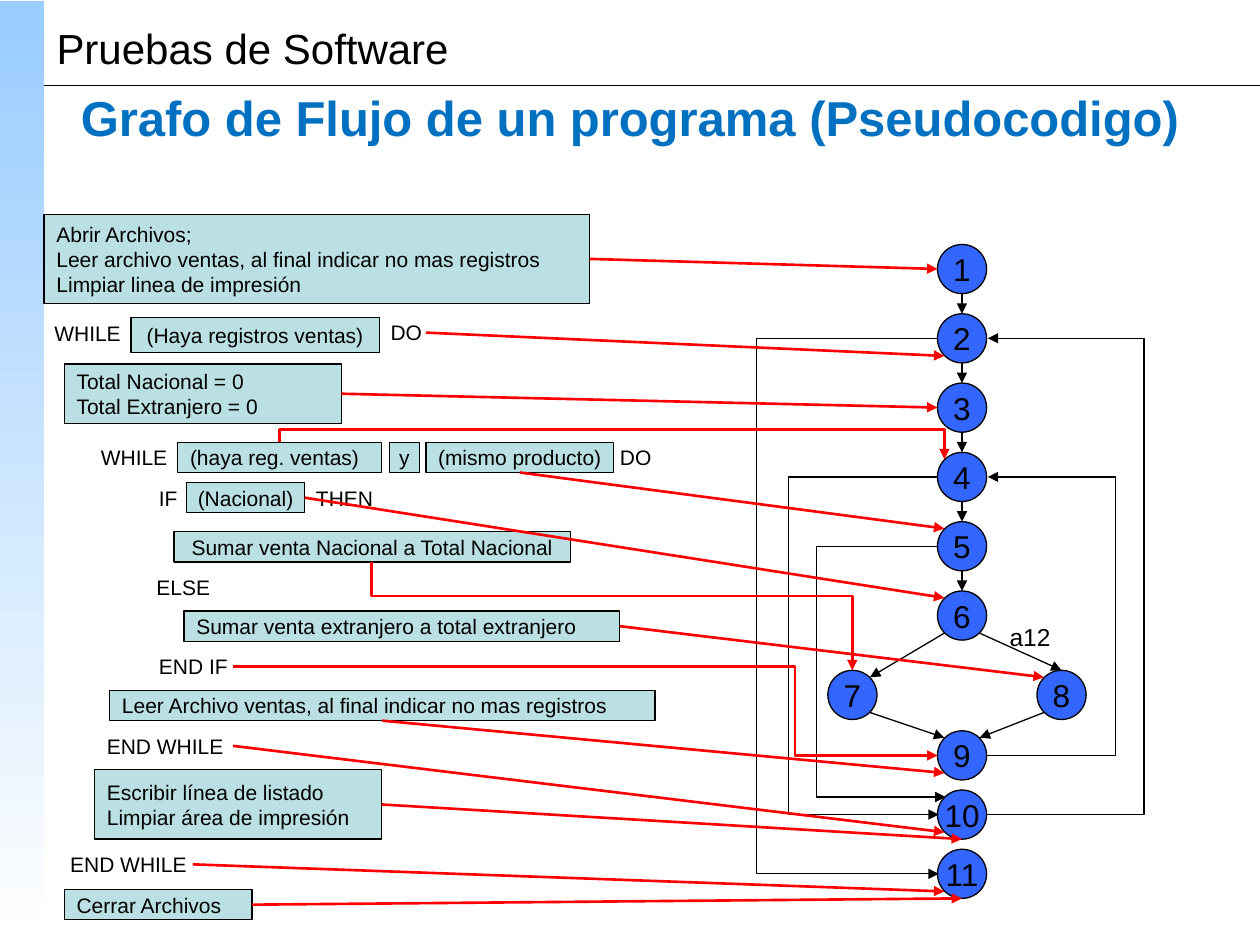
"""Build the slide that links a sales pseudocode to its flow graph."""
from dataclasses import dataclass
from typing import Optional

from lxml.etree import SubElement
from pptx import Presentation
from pptx.dml.color import RGBColor
from pptx.enum.shapes import MSO_CONNECTOR, MSO_SHAPE
from pptx.enum.text import MSO_ANCHOR, MSO_AUTO_SIZE, PP_ALIGN
from pptx.oxml.ns import qn
from pptx.util import Inches, Pt

BLACK, RED, BLUE, TEAL, TITLE_BLUE = "000000", "FF0000", "3366FF", "BBE0E3", "0070C0"
NODE_SIZE = 0.39
COLUMN = 7.44
DIAGONAL = 0.14
RADIUS = NODE_SIZE / 2
SIDES = {
    "n": (0, -RADIUS), "s": (0, RADIUS), "w": (-RADIUS, 0), "e": (RADIUS, 0),
    "nw": (-DIAGONAL, -DIAGONAL), "ne": (DIAGONAL, -DIAGONAL),
    "sw": (-DIAGONAL, DIAGONAL), "se": (DIAGONAL, DIAGONAL),
}
BOTTOM, RIGHT = 2, 3
Point = tuple[float, float]


@dataclass(frozen=True)
class Block:
    text: str
    left: float
    top: float
    width: float
    height: float = 0.24
    fill: Optional[str] = TEAL
    centered: bool = False
    size: int = 12


@dataclass(frozen=True)
class Elbow:
    start: Point
    end: Point
    turn: float
    color: str = BLACK
    width: float = 0.75
    vertical_first: bool = False


def label(text: str, left: float, top: float, width: float, height: float = 0.24,
          size: int = 12) -> Block:
    """Describe centred text without a frame."""
    return Block(text, left, top, width, height, None, True, size)


NODES = {number: (COLUMN, 1.94 + 0.55 * (number - 1)) for number in range(1, 7)}
NODES |= {7: (6.57, 5.32), 8: (8.23, 5.32)}
NODES |= {number: (COLUMN, 5.8 + 0.47 * (number - 9)) for number in range(9, 12)}


def anchor(number: int, side: str) -> Point:
    """Return the point on one side of a graph node."""
    left, top = NODES[number]
    across, down = SIDES[side]
    return left + RADIUS + across, top + RADIUS + down


BLOCKS = {
    "open": Block("Abrir Archivos;\nLeer archivo ventas, al final indicar no mas registros\n"
                  "Limpiar linea de impresión", 0.35, 1.7, 4.33, 0.71),
    "outer while": label("WHILE", 0.3, 2.41, 0.79, 0.47),
    "outer test": Block("(Haya registros ventas)", 1.04, 2.52, 1.97, 0.28, centered=True),
    "outer do": label("DO", 3.07, 2.49, 0.31, 0.3),
    "totals": Block("Total Nacional = 0\nTotal Extranjero = 0", 0.51, 2.89, 2.2, 0.47),
    "inner while": label("WHILE", 0.75, 3.51, 0.63),
    "sales test": Block("(haya reg. ventas)", 1.41, 3.51, 1.62),
    "product test": Block("(mismo producto)", 3.38, 3.51, 1.49, centered=True),
    "and": Block("y", 3.09, 3.51, 0.24, centered=True),
    "inner do": label("DO", 4.89, 3.51, 0.31),
    "if": label("IF", 1.14, 3.83, 0.39),
    "national test": Block("(Nacional)", 1.48, 3.83, 0.94, centered=True),
    "then": label("THEN", 2.42, 3.83, 0.63),
    "national sum": Block("Sumar venta Nacional a Total Nacional", 1.38, 4.22, 3.15,
                          centered=True),
    "else": label("ELSE", 1.14, 4.54, 0.63),
    "foreign sum": Block("Sumar venta extranjero a total extranjero", 1.46, 4.85, 3.46),
    "end if": label("END IF", 1.22, 5.17, 0.63),
    "read": Block("Leer Archivo ventas, al final indicar no mas registros", 0.87, 5.48, 4.33),
    "inner end": Block("END WHILE", 0.75, 5.8, 1.1, fill=None),
    "print": Block("Escribir línea de listado\nLimpiar área de impresión", 0.75, 6.11, 2.28, 0.55),
    "outer end": label("END WHILE", 0.51, 6.74, 1.02),
    "close": Block("Cerrar Archivos", 0.51, 7.06, 1.49),
    "edge name": label("a12", 8.02, 4.93, 0.31, size=14),
}
EDGES = [((number, "s"), (number + 1, "n")) for number in range(1, 6)] + [
    ((6, "se"), (8, "n")), ((6, "sw"), (7, "ne")),
    ((8, "sw"), (9, "ne")), ((7, "se"), (9, "nw")),
]
LOOPS = [(9, "e", 4, "e", 8.87), (10, "e", 2, "e", 9.1), (2, "w", 11, "w", 5.98),
         (5, "w", 10, "nw", 6.48), (4, "w", 10, "w", 6.24)]
CODE_ELBOWS = [
    Elbow((2.22, 3.51), anchor(4, "nw"), 3.41, RED, 1.5, True),
    Elbow((2.95, 4.46), anchor(7, "n"), 4.73, RED, 1.5, True),
    Elbow((1.85, 5.29), anchor(9, "w"), 6.31, RED, 1.5),
]
CODE_LINKS = [
    ("open", RIGHT, 1, "w"), ("totals", RIGHT, 3, "w"), ("product test", BOTTOM, 5, "nw"),
    ("national test", RIGHT, 6, "nw"), ("foreign sum", RIGHT, 8, "nw"),
    ("read", BOTTOM, 9, "sw"), ("inner end", RIGHT, 10, "sw"), ("print", RIGHT, 10, "s"),
    ("outer end", RIGHT, 11, "sw"), ("close", RIGHT, 11, "s"), ("outer do", RIGHT, 2, "sw"),
]


def rgb(color: str) -> RGBColor:
    """Turn a hex string into a colour."""
    return RGBColor.from_string(color)


def write(box, text: str, size: int, color: str = BLACK, centered: bool = True,
          bold: bool = False, wrap: bool = False) -> None:
    """Fill a shape with paragraphs of one style."""
    frame = box.text_frame
    frame.text = text
    frame.word_wrap = wrap
    frame.auto_size = MSO_AUTO_SIZE.NONE
    frame.vertical_anchor = MSO_ANCHOR.MIDDLE
    for paragraph in frame.paragraphs:
        paragraph.alignment = PP_ALIGN.CENTER if centered else PP_ALIGN.LEFT
        font = paragraph.font
        font.name, font.size, font.bold = "Arial", Pt(size), bold
        font.color.rgb = rgb(color)


def draw_block(slide, block: Block, preset=MSO_SHAPE.RECTANGLE):
    """Draw a framed shape or plain label."""
    area = [Inches(value) for value in (block.left, block.top, block.width, block.height)]
    if block.fill is None:
        box = slide.shapes.add_textbox(*area)
    else:
        box = slide.shapes.add_shape(preset, *area)
        box.shadow.inherit = False
        box.fill.solid()
        box.fill.fore_color.rgb = rgb(block.fill)
        box.line.color.rgb = rgb(BLACK)
        box.line.width = Pt(0.75)
    write(box, block.text, block.size, centered=block.centered)
    return box


def draw_line(slide, start: Point, end: Point, color: str = BLACK, width: float = 0.75,
              kind=MSO_CONNECTOR.STRAIGHT, arrow: bool = True):
    """Draw a connector, with an arrowhead at its end by default."""
    line = slide.shapes.add_connector(kind, *(Inches(value) for value in (*start, *end)))
    line.line.color.rgb = rgb(color)
    line.line.width = Pt(width)
    if arrow:
        SubElement(line.line._get_or_add_ln(), qn("a:tailEnd"), type="triangle")
    SubElement(line.element.spPr, qn("a:effectLst"))
    return line


def draw_elbow(slide, elbow: Elbow) -> None:
    """Draw a bent arrow that turns at a given coordinate."""
    (x1, y1), (x2, y2) = start, end = elbow.start, elbow.end
    across, down = x2 - x1, y2 - y1
    ratio = (elbow.turn - x1) / across if not elbow.vertical_first else (elbow.turn - y1) / down
    if elbow.vertical_first:
        middle_x, middle_y = (x1 + x2) / 2, (y1 + y2) / 2
        start = middle_x - down / 2, middle_y + across / 2
        end = middle_x + down / 2, middle_y - across / 2
    line = draw_line(slide, start, end, elbow.color, elbow.width, MSO_CONNECTOR.ELBOW)
    properties = line.element.spPr
    if elbow.vertical_first:
        properties.find(qn("a:xfrm")).set("rot", str(90 * 60000))
    guides = properties.find(qn("a:prstGeom")).find(qn("a:avLst"))
    SubElement(guides, qn("a:gd"), name="adj1", fmla=f"val {round(ratio * 100000)}")


def draw_background(slide) -> None:
    """Draw the side band, the course name and its rule."""
    band = slide.shapes.add_shape(MSO_SHAPE.RECTANGLE, 0, Inches(0.01), Inches(0.35), Inches(7.49))
    band.shadow.inherit = False
    band.line.fill.background()
    band.fill.gradient()
    band.fill.gradient_angle = 270
    for stop, color in zip(band.fill.gradient_stops, ("99CCFF", "FFFFFF")):
        stop.color.rgb = rgb(color)
    draw_line(slide, (0.35, 0.68), (10, 0.68), arrow=False)
    draw_block(slide, Block("Pruebas de Software", 0.35, 0, 9.65, 0.75, None, size=24))


def main() -> None:
    """Build and save the deck."""
    deck = Presentation()
    deck.slide_width, deck.slide_height = Inches(10), Inches(7.5)
    slide = deck.slides.add_slide(deck.slide_layouts[5])
    draw_background(slide)
    title = slide.shapes.title
    title.left, title.top, title.width, title.height = map(Inches, (0.5, 0.3, 9, 1.25))
    write(title, "Grafo de Flujo de un programa (Pseudocodigo)", 28, TITLE_BLUE, bold=True, wrap=True)
    for number, (left, top) in NODES.items():
        node = Block(str(number), left, top, NODE_SIZE, NODE_SIZE, BLUE, True, 18)
        draw_block(slide, node, MSO_SHAPE.FLOWCHART_CONNECTOR)
    for start, end in EDGES:
        draw_line(slide, anchor(*start), anchor(*end))
    for first, side, last, last_side, turn in LOOPS:
        x, y = anchor(last, last_side)
        draw_elbow(slide, Elbow(anchor(first, side), (x + 0.01, y), turn))
    boxes = {name: draw_block(slide, block) for name, block in BLOCKS.items()}
    for elbow in CODE_ELBOWS:
        draw_elbow(slide, elbow)
    for name, site, number, side in CODE_LINKS:
        end = anchor(number, side)
        draw_line(slide, end, end, RED, 1.5).begin_connect(boxes[name], site)
    deck.save("out.pptx")


if __name__ == "__main__":
    main()
